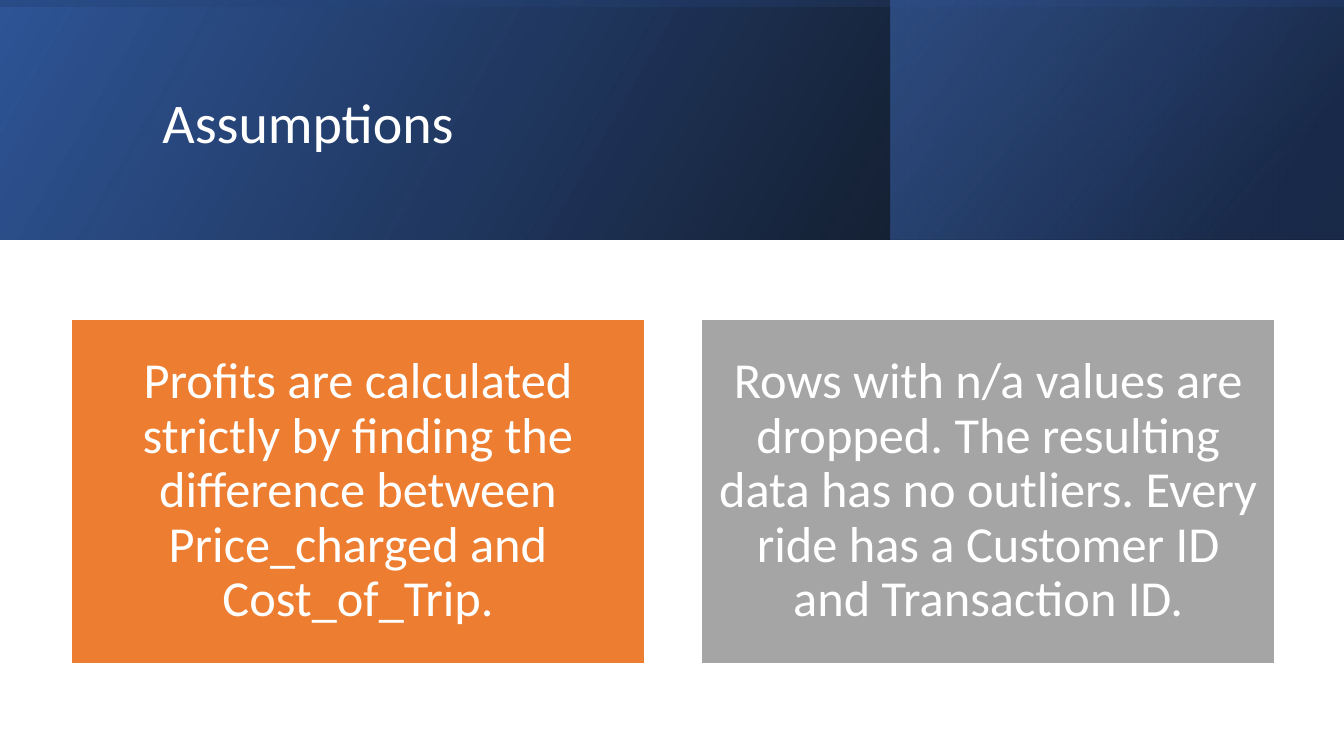
from dataclasses import dataclass

from lxml.etree import SubElement
from pptx import Presentation
from pptx.dml.color import RGBColor as RGB
from pptx.enum.shapes import MSO_SHAPE as SHAPE
from pptx.enum.text import MSO_ANCHOR as ANCHOR, MSO_AUTO_SIZE as FIT, PP_ALIGN as ALIGN
from pptx.oxml.ns import qn
from pptx.util import Cm, Pt


@dataclass(frozen=True)
class Theme:
    """Colours, font and type sizes of the slide."""
    font: str = "Calibri"
    title_size: int = 40
    card_size: int = 36
    white: str = "FFFFFF"
    black: str = "000000"
    blue: str = "2F5597"
    navy: str = "203864"
    bright: str = "4472C4"
    orange: str = "ED7D31"
    grey: str = "A5A5A5"


def write(tf, text, *, font, size, color, align=ALIGN.LEFT, inset=None):
    """Fill a text frame with one formatted, vertically centred paragraph."""
    tf.word_wrap = True
    tf.auto_size = FIT.NONE
    tf.vertical_anchor = ANCHOR.MIDDLE
    if inset is not None:
        tf.margin_left = tf.margin_right = tf.margin_top = tf.margin_bottom = inset
    p = tf.paragraphs[0]
    p.alignment = align
    p.line_spacing = 0.9
    r = p.add_run()
    r.text = text
    r.font.name, r.font.size = font, Pt(size)
    r.font.color.rgb = RGB.from_string(color)


class Deck:
    """Style and current slide, with a method for each kind of element."""

    def __init__(self, prs, theme):
        """Add a title-only slide to the presentation."""
        self.theme = theme
        self.s = prs.slides.add_slide(prs.slide_layouts[5])

    def rect(self, x, y, w, h):
        """Add a rectangle without shadow, measured in centimetres."""
        sp = self.s.shapes.add_shape(SHAPE.RECTANGLE, Cm(x), Cm(y), Cm(w), Cm(h))
        sp.shadow.inherit = False
        return sp

    def band(self, x, y, w, h, stops, angle, turned=False):
        """Add a mirrored translucent gradient, optionally turned to lie on its side."""
        if turned:
            x, y, w, h = x + (w - h) / 2, y + (h - w) / 2, h, w
        sp = self.rect(x, y, w, h)
        sp.rotation = 270 if turned else 0
        sp._element.spPr.find(qn("a:xfrm")).set("flipH", "1")
        sp.line.fill.background()
        sp.fill.gradient()
        sp.fill.gradient_angle = angle
        for stop, (position, color, _) in zip(sp.fill.gradient_stops, stops):
            stop.position = position / 100
            stop.color.rgb = RGB.from_string(color)
        colors = sp._element.spPr.iter(qn("a:srgbClr"))
        for clr, (_, _, opacity) in zip(colors, stops):
            SubElement(clr, qn("a:alpha"), val=str(opacity * 1000))

    def title(self, text, x, y, w, h):
        """Place the title in front of the bands."""
        t, sp = self.theme, self.s.shapes.title
        sp.left, sp.top, sp.width, sp.height = Cm(x), Cm(y), Cm(w), Cm(h)
        self.s.shapes._spTree.append(sp._element)
        write(sp.text_frame, text, font=t.font, size=t.title_size, color=t.white)

    def card(self, text, x, y, w, h, fill):
        """Add a filled card with centred text."""
        t, sp = self.theme, self.rect(x, y, w, h)
        sp.fill.solid()
        sp.fill.fore_color.rgb = RGB.from_string(fill)
        sp.line.color.rgb = RGB.from_string(t.white)
        sp.line.width = Pt(1)
        write(sp.text_frame, text, font=t.font, size=t.card_size, color=t.white,
              align=ALIGN.CENTER, inset=Cm(0.38))


def main():
    """Build the assumptions slide."""
    width, header = 33.87, 6.03
    side_x = 22.45
    prs = Presentation()
    prs.slide_width, prs.slide_height = Cm(width), Cm(19.05)
    t = Theme()
    deck = Deck(prs, t)

    deck.band(0, 0, width, header, [(0, t.black, 96), (100, t.blue, 100)], 30)
    deck.band(side_x, 0, width - side_x, header,
              [(19, t.navy, 68), (100, t.bright, 48)], 40)
    deck.band(0, 0, width, header, [(23, t.blue, 16), (99, t.black, 45)], 10, turned=True)
    deck.title("Assumptions", 3.84, 0.97, 27, 4.37)

    card_x, card_w, gap = 1.8, 14.45, 1.43
    cards = [
        ("Profits are calculated strictly by finding the difference between "
         "Price_charged and Cost_of_Trip.", t.orange),
        ("Rows with n/a values are dropped. The resulting data has no outliers. "
         "Every ride has a Customer ID and Transaction ID.", t.grey),
    ]
    for i, (text, fill) in enumerate(cards):
        deck.card(text, card_x + i * (card_w + gap), 8.05, card_w, 8.67, fill)

    prs.save("out.pptx")


main()
